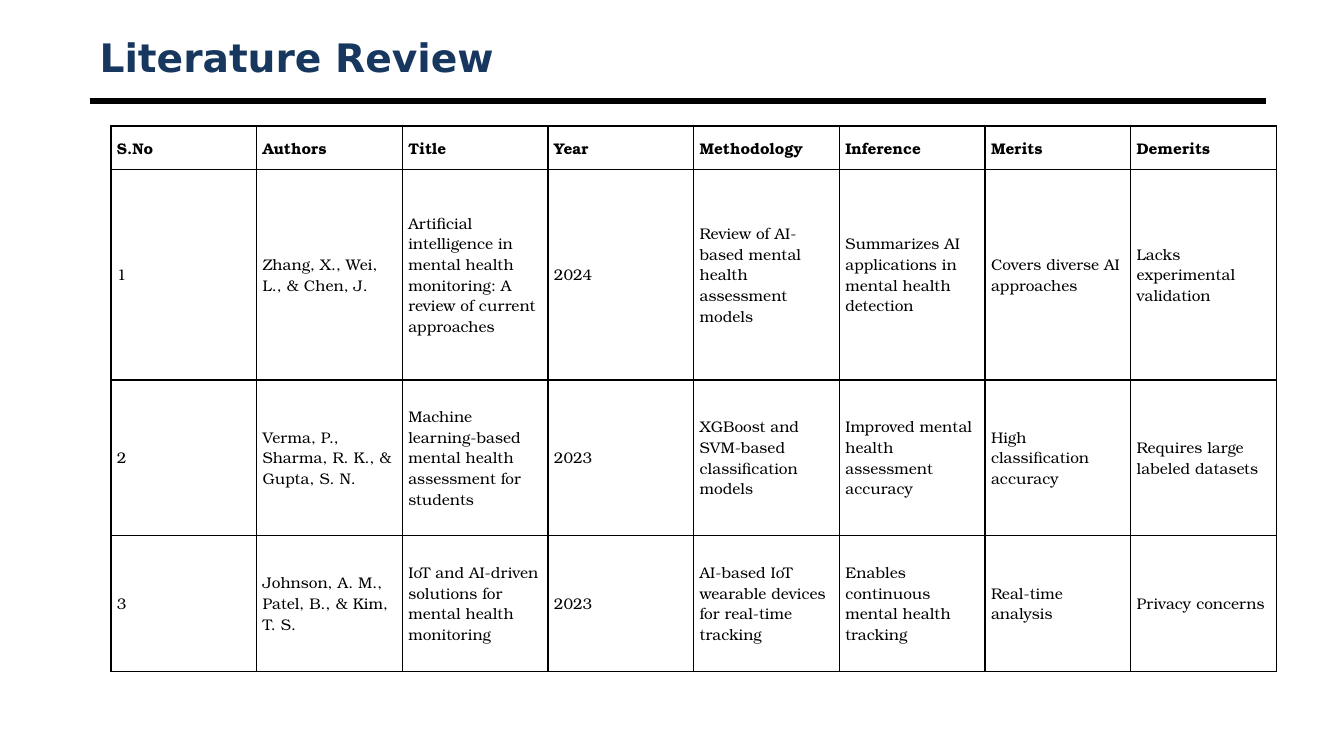
from dataclasses import dataclass

from lxml import etree
from pptx import Presentation
from pptx.dml.color import RGBColor
from pptx.enum.shapes import MSO_CONNECTOR
from pptx.enum.text import MSO_ANCHOR
from pptx.oxml.ns import qn
from pptx.util import Inches, Pt

STRAIGHT = MSO_CONNECTOR.STRAIGHT
MIDDLE = MSO_ANCHOR.MIDDLE


@dataclass(frozen=True)
class Theme:
    ink: str = "000000"
    paper: str = "FFFFFF"
    heading: str = "17375E"
    heading_font: str = "DejaVu Sans"
    body_font: str = "TeX Gyre Bonum"
    heading_size: float = 28
    body_size: float = 11
    rule_width: float = 4.5
    border_width: float = 1


COLUMN_WIDTH = 1.445
ROW_HEIGHTS = (0.43, 2.09, 1.54, 1.35)
HEADER = ("S.No", "Authors", "Title", "Year", "Methodology", "Inference", "Merits", "Demerits")
STUDIES = (
    ("1", "Zhang, X., Wei, L., & Chen, J.",
     "Artificial intelligence in mental health monitoring: A review of current approaches",
     "2024", "Review of AI-based mental health assessment models",
     "Summarizes AI applications in mental health detection",
     "Covers diverse AI approaches", "Lacks experimental validation"),
    ("2", "Verma, P., Sharma, R. K., & Gupta, S. N.",
     "Machine learning-based mental health assessment for students",
     "2023", "XGBoost and SVM-based classification models",
     "Improved mental health assessment accuracy",
     "High classification accuracy", "Requires large labeled datasets"),
    ("3", "Johnson, A. M., Patel, B., & Kim, T. S.",
     "IoT and AI-driven solutions for mental health monitoring",
     "2023", "AI-based IoT wearable devices for real-time tracking",
     "Enables continuous mental health tracking",
     "Real-time analysis", "Privacy concerns"),
)


class SlideBuilder:
    def __init__(self, page, theme):
        self.page = page
        self.theme = theme

    def set_values(self, target, values):
        for name, value in values.items():
            setattr(target, name, value)

    def add_text(self, frame, text, color, values):
        para = frame.paragraphs[0]
        span = para.add_run()
        span.text = text
        self.set_values(span.font, values)
        span.font.color.rgb = RGBColor.from_string(color)

    def title(self, text, left, top, width, height):
        box = self.page.shapes.add_textbox(*map(Inches, (left, top, width, height)))
        self.set_values(box.text_frame, {"word_wrap": True, "vertical_anchor": MIDDLE})
        self.add_text(box.text_frame, text, self.theme.heading, {
            "name": self.theme.heading_font,
            "size": Pt(self.theme.heading_size),
            "bold": True,
        })

    def rule(self, left, right, top):
        line = self.page.shapes.add_connector(STRAIGHT, *map(Inches, (left, top, right, top)))
        line.line.color.rgb = RGBColor.from_string(self.theme.ink)
        line.line.width = Pt(self.theme.rule_width)
        etree.SubElement(line._element.spPr, qn("a:effectLst"))

    def borders(self, cell):
        properties = cell._tc.get_or_add_tcPr()
        for side in ("L", "R", "T", "B"):
            border = etree.SubElement(
                properties, qn(f"a:ln{side}"), w=str(Pt(self.theme.border_width)))
            fill = etree.SubElement(border, qn("a:solidFill"))
            etree.SubElement(fill, qn("a:srgbClr"), val=self.theme.ink)

    def cell(self, cell, text, bold):
        self.set_values(cell, {
            "margin_left": Inches(0.06),
            "margin_right": Inches(0.06),
            "margin_top": Inches(0.03),
            "margin_bottom": Inches(0.03),
            "vertical_anchor": MIDDLE,
        })
        self.borders(cell)
        cell.fill.solid()
        cell.fill.fore_color.rgb = RGBColor.from_string(self.theme.paper)
        self.add_text(cell.text_frame, text, self.theme.ink, {
            "name": self.theme.body_font,
            "size": Pt(self.theme.body_size),
            "bold": bold,
        })

    def table(self, rows, left, top, width, row_heights):
        column_count = len(rows[0])
        size = (width, sum(row_heights))
        table = self.page.shapes.add_table(
            len(rows), column_count, *map(Inches, (left, top, *size))).table
        self.set_values(table, {"first_row": False, "horz_banding": False})
        for row_index, (texts, height) in enumerate(zip(rows, row_heights)):
            table.rows[row_index].height = Inches(height)
            for column_index, text in enumerate(texts):
                self.cell(table.cell(row_index, column_index), text, row_index == 0)


def main():
    deck = Presentation()
    deck.slide_width = Inches(13.33)
    deck.slide_height = Inches(7.5)
    page = deck.slides.add_slide(deck.slide_layouts[6])
    builder = SlideBuilder(page, Theme())
    builder.rule(0.89, 12.56, 1)
    builder.title("Literature Review", 0.89, 0.3, 11.67, 0.53)
    builder.table((HEADER, *STUDIES), 1.1, 1.25, TABLE_WIDTH, ROW_HEIGHTS)
    deck.save("out.pptx")


TABLE_WIDTH = 11.56

if __name__ == "__main__":
    main()
